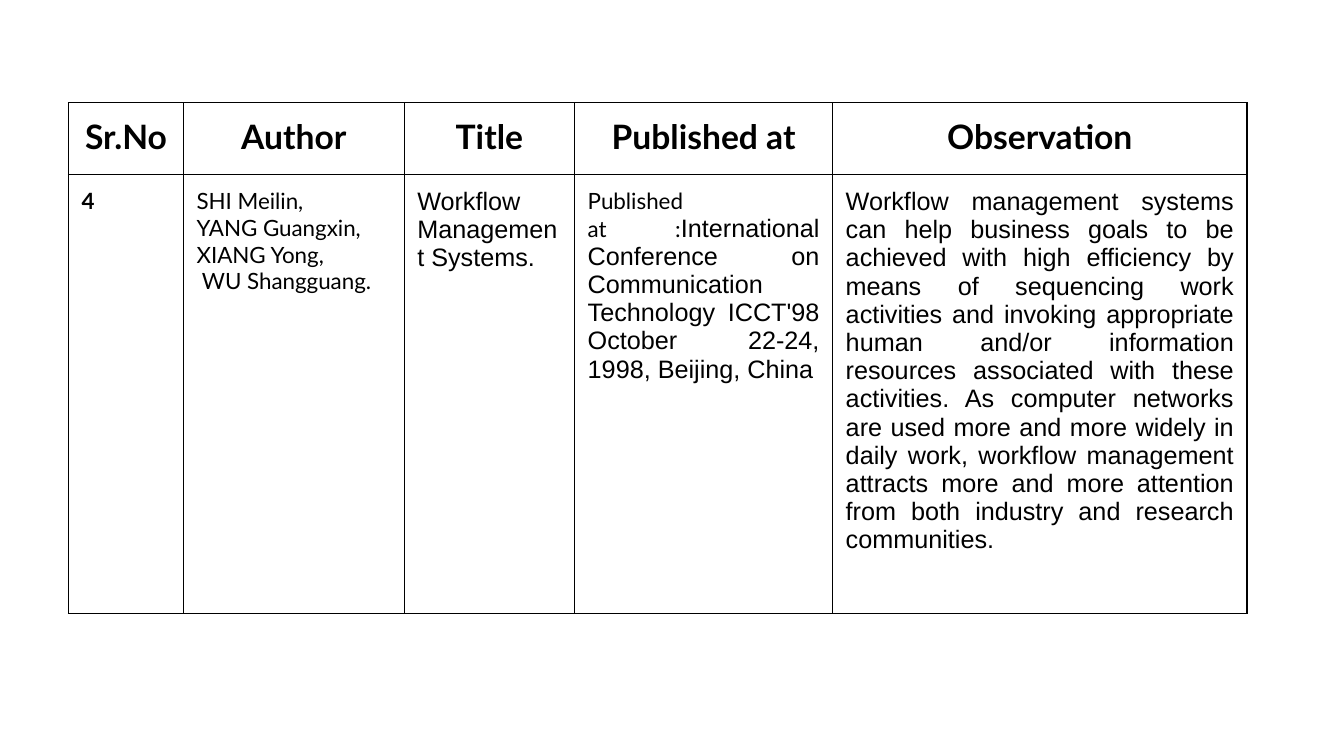
from lxml.etree import SubElement
from pptx import Presentation
from pptx.dml.color import RGBColor
from pptx.enum.text import MSO_ANCHOR as Anchor, PP_ALIGN as Align
from pptx.oxml.ns import qn
from pptx.util import Inches, Pt

BLACK = RGBColor(0x00, 0x00, 0x00)
SLIDE_WIDTH, SLIDE_HEIGHT = Inches(13.33), Inches(7.5)

# Table grid, in percent of the slide's width and height
TABLE_LEFT, TABLE_TOP = 5.1, 13.6
COLUMN_SHARES = [8.55, 16.43, 12.68, 19.2, 30.83]
ROW_SHARES = [9.47, 58.13]

# Text formats
HEADER = {"name": "Lato", "size": Pt(24), "bold": True}
NUMBER = {"name": "Lato", "size": Pt(16), "bold": True}
SMALL = {"name": "Lato", "size": Pt(16), "bold": False}
BODY = {"name": "Arial", "size": Pt(18), "bold": False}
CELL = {"vertical_anchor": Anchor.TOP, "margin_left": Inches(0.13),
        "margin_right": Inches(0.13), "margin_top": Inches(0.13),
        "margin_bottom": Inches(0.13)}

HEADINGS = ["Sr.No", "Author", "Title", "Published at", "Observation"]
AUTHORS = ["SHI Meilin,", "YANG Guangxin, XIANG Yong,", " WU Shangguang."]
VENUE = ("International Conference on Communication Technology ICCT'98 "
         "October 22-24, 1998, Beijing, China")
OBSERVATION = (
    "Workflow management systems can help business goals to be achieved with "
    "high efficiency by means of sequencing work activities and invoking "
    "appropriate human and/or information resources associated with these "
    "activities. As computer networks are used more and more widely in daily "
    "work, workflow management attracts more and more attention from both "
    "industry and research communities.")

# Each entry: alignment, then paragraphs made of (text, format) runs
ENTRY = [
    (Align.LEFT, [[("4", NUMBER)]]),
    (Align.LEFT, [[(author, SMALL)] for author in AUTHORS]),
    (Align.LEFT, [[("Workflow Management Systems.", BODY)]]),
    (Align.JUSTIFY, [[("Published at :", SMALL), (VENUE, BODY)]]),
    (Align.JUSTIFY, [[(OBSERVATION, BODY)]]),
]


def across(percent):
    return round(SLIDE_WIDTH * percent / 100)


def down(percent):
    return round(SLIDE_HEIGHT * percent / 100)


def apply_format(target, values):
    for attribute, value in values.items():
        setattr(target, attribute, value)


def add_borders(cell):
    properties = cell._tc.get_or_add_tcPr()
    for side in ("a:lnL", "a:lnR", "a:lnT", "a:lnB"):
        line = SubElement(properties, qn(side), w=str(Pt(1)))
        fill = SubElement(line, qn("a:solidFill"))
        SubElement(fill, qn("a:srgbClr"), val=str(BLACK))


def fill_cell(cell, alignment, paragraphs):
    apply_format(cell, CELL)
    add_borders(cell)
    cell.fill.background()
    frame = cell.text_frame
    for index, runs in enumerate(paragraphs):
        paragraph = frame.add_paragraph() if index else frame.paragraphs[0]
        paragraph.alignment = alignment
        for text, values in runs:
            run = paragraph.add_run()
            run.text = text
            apply_format(run.font, values)
            run.font.color.rgb = BLACK


def add_grid_table(slide):
    frame = slide.shapes.add_table(
        len(ROW_SHARES), len(COLUMN_SHARES), across(TABLE_LEFT),
        down(TABLE_TOP), across(sum(COLUMN_SHARES)), down(sum(ROW_SHARES)))
    table = frame.table
    apply_format(table, {"first_row": False, "horz_banding": False})
    for column, share in zip(table.columns, COLUMN_SHARES):
        column.width = across(share)
    for row, share in zip(table.rows, ROW_SHARES):
        row.height = down(share)
    return table


def main():
    presentation = Presentation()
    presentation.slide_width = SLIDE_WIDTH
    presentation.slide_height = SLIDE_HEIGHT
    slide = presentation.slides.add_slide(presentation.slide_layouts[6])

    # Literature table: headings, then one entry
    table = add_grid_table(slide)
    headings = [(Align.CENTER, [[(text, HEADER)]]) for text in HEADINGS]
    for row, contents in zip(table.rows, [headings, ENTRY]):
        for cell, (alignment, paragraphs) in zip(row.cells, contents):
            fill_cell(cell, alignment, paragraphs)

    presentation.save("out.pptx")


if __name__ == "__main__":
    main()
